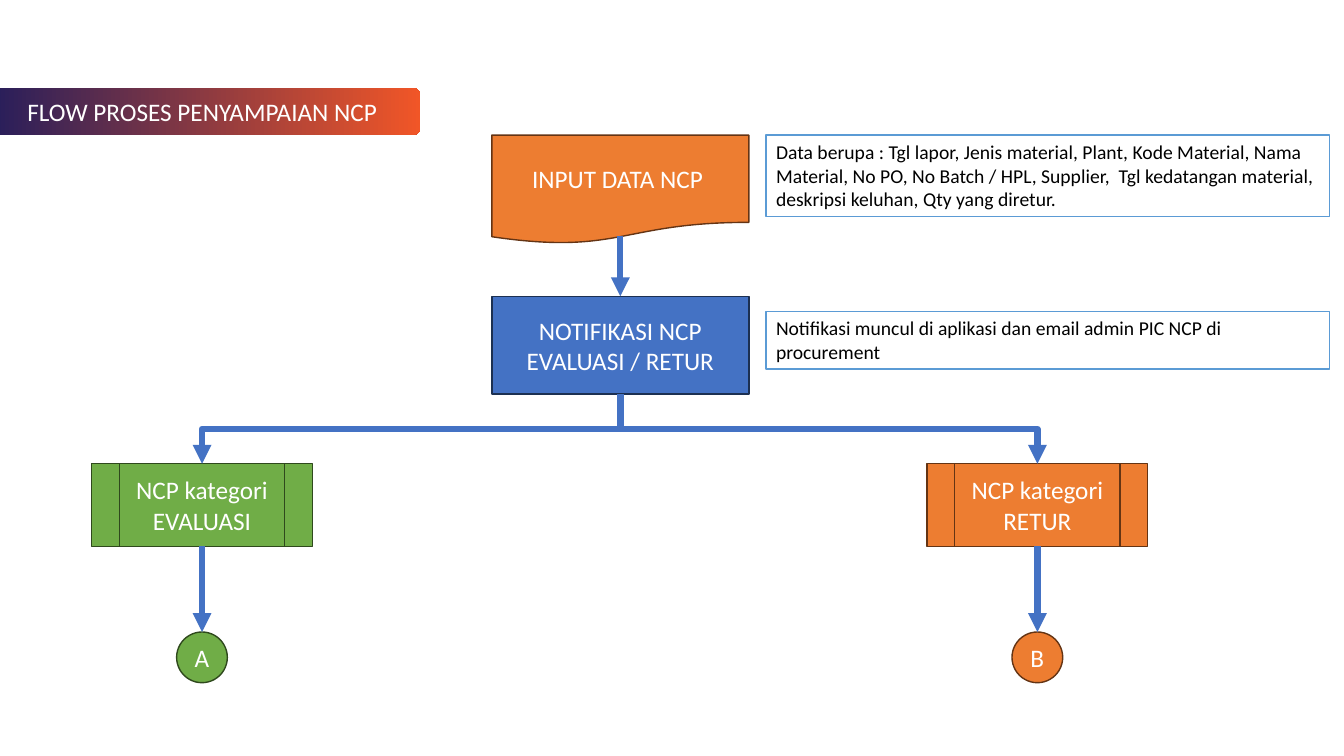
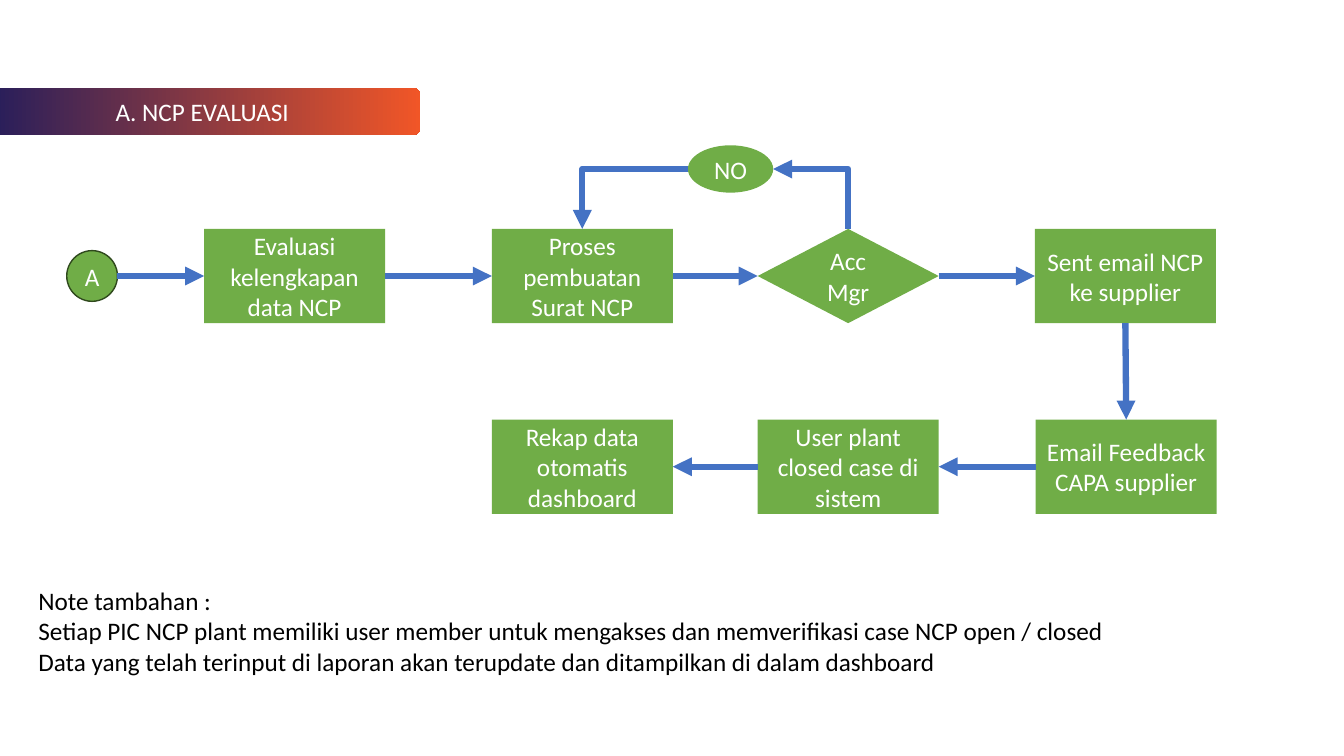
import pptx
import pptx.util
import pptx.dml.color
import pptx.enum.shapes
import pptx.enum.text
import pptx.oxml
import pptx.oxml.ns

RGBColor = pptx.dml.color.RGBColor
SHAPE = pptx.enum.shapes.MSO_SHAPE
CONNECTOR = pptx.enum.shapes.MSO_CONNECTOR
ALIGN = pptx.enum.text.PP_ALIGN
ANCHOR = pptx.enum.text.MSO_ANCHOR
qn = pptx.oxml.ns.qn

WHITE = RGBColor(0xFF, 0xFF, 0xFF)
BLACK = RGBColor(0, 0, 0)
NAVY = RGBColor(0x24, 0x1D, 0x5C)
FLAME = RGBColor(0xF1, 0x56, 0x27)
BLUE = RGBColor(0x44, 0x72, 0xC4)
DARK_BLUE = RGBColor(0x1C, 0x30, 0x52)
SKY = RGBColor(0x5B, 0x9B, 0xD5)
GREEN = RGBColor(0x70, 0xAD, 0x47)
DARK_GREEN = RGBColor(0x2F, 0x49, 0x1D)
ORANGE = RGBColor(0xED, 0x7D, 0x31)
DARK_ORANGE = RGBColor(0x64, 0x34, 0x14)

FONT = "Calibri"
COLUMNS, ROWS = 160, 90
TOP, LEFT, BOTTOM, RIGHT = range(4)
CIRCLE = 6.04


def write_text(shape, text, size=18, color=WHITE, align=ALIGN.CENTER, anchor=ANCHOR.MIDDLE):
    frame = shape.text_frame
    frame.word_wrap = True
    frame.vertical_anchor = anchor
    frame.text = text
    for paragraph in frame.paragraphs:
        paragraph.alignment = align
        for run in paragraph.runs:
            run.font.name = FONT
            run.font.size = pptx.util.Pt(size)
            run.font.color.rgb = color


class FlowDeck:
    def __init__(self):
        self.presentation = pptx.Presentation()
        self.presentation.slide_width = pptx.util.Inches(13.33)
        self.presentation.slide_height = pptx.util.Inches(7.5)
        self.slide = None

    def across(self, columns):
        return round(self.presentation.slide_width * columns / COLUMNS)

    def down(self, rows):
        return round(self.presentation.slide_height * rows / ROWS)

    def area(self, left, top, width, height):
        return self.across(left), self.down(top), self.across(width), self.down(height)

    def start_slide(self, title):
        self.slide = self.presentation.slides.add_slide(self.presentation.slide_layouts[6])
        band = self.box(title, (-1.92, 10.44, 52, 5.64), SHAPE.ROUNDED_RECTANGLE)
        band.fill.gradient()
        band.fill.gradient_angle = 0
        for stop, color in zip(band.fill.gradient_stops, (NAVY, FLAME)):
            stop.color.rgb = color

    def box(self, text, area, kind=SHAPE.RECTANGLE, fill=GREEN, line=None, **text_format):
        shape = self.slide.shapes.add_shape(kind, *self.area(*area))
        shape.shadow.inherit = False
        shape.fill.solid()
        shape.fill.fore_color.rgb = fill
        if line is None:
            shape.line.fill.background()
        else:
            shape.line.color.rgb = line
            shape.line.width = pptx.util.Pt(1)
        write_text(shape, text, **text_format)
        return shape

    def centred_box(self, text, middle, top, width, height, kind, fill, line):
        return self.box(text, (middle - width / 2, top, width, height), kind, fill, line)

    def explanation(self, text, top, height):
        self.box(text, (91.2, top, 67.1, height), fill=WHITE, line=SKY, size=14,
                 color=BLACK, align=ALIGN.LEFT, anchor=ANCHOR.TOP)

    def note(self, text, area):
        shape = self.slide.shapes.add_textbox(*self.area(*area))
        write_text(shape, text, color=BLACK, align=ALIGN.LEFT, anchor=ANCHOR.TOP)

    def style_arrow(self, connector):
        connector.line.color.rgb = BLUE
        connector.line.width = pptx.util.Pt(4.5)
        head = pptx.oxml.parse_xml(
            '<a:tailEnd xmlns:a="http://schemas.openxmlformats.org/drawingml/2006/main" type="triangle"/>')
        connector.line._get_or_add_ln().append(head)
        properties = connector._element.spPr
        properties.append(properties.makeelement(qn("a:effectLst"), {}))

    def side(self, shape, side):
        x = shape.left + shape.width * {LEFT: 0, RIGHT: 1}.get(side, 0.5)
        y = shape.top + shape.height * {TOP: 0, BOTTOM: 1}.get(side, 0.5)
        return round(x), round(y)

    def arrow(self, source, source_side, target, target_side, joined=True, rise=0):
        start_x, start_y = self.side(source, source_side)
        connector = self.slide.shapes.add_connector(
            CONNECTOR.STRAIGHT, start_x, start_y - self.down(rise), *self.side(target, target_side))
        if joined:
            connector.begin_connect(source, source_side)
        connector.end_connect(target, target_side)
        self.style_arrow(connector)

    def elbow(self, source, source_side, target, target_side, preset, turn, flip):
        start_x, start_y = self.side(source, source_side)
        end_x, end_y = self.side(target, target_side)
        width, height = abs(end_x - start_x), abs(end_y - start_y)
        if turn:
            width, height = height, width
        left = (start_x + end_x - width) // 2
        top = (start_y + end_y - height) // 2
        begin, end = (left + width, left) if flip else (left, left + width)
        connector = self.slide.shapes.add_connector(CONNECTOR.ELBOW, begin, top, end, top + height)
        properties = connector._element.spPr
        properties.find(qn("a:xfrm")).set("rot", str(turn * 60000))
        properties.find(qn("a:prstGeom")).set("prst", preset)
        self.style_arrow(connector)


def build_overview(deck):
    deck.start_slide("FLOW PROSES PENYAMPAIAN NCP")
    middle = 73.85
    entry = deck.centred_box("INPUT DATA NCP ", middle, 16.08, 30.6, 12.96,
                             SHAPE.FLOWCHART_DOCUMENT, ORANGE, DARK_ORANGE)
    notice = deck.centred_box("NOTIFIKASI NCP\nEVALUASI / RETUR", middle, 35.28, 30.6, 11.64,
                              SHAPE.FLOWCHART_PROCESS, BLUE, DARK_BLUE)
    deck.arrow(entry, BOTTOM, notice, TOP, joined=False, rise=0.96)
    branches = (
        ("NCP kategori EVALUASI", "A", 24.05, GREEN, DARK_GREEN, 90, False),
        ("NCP kategori RETUR", "B", 123.5, ORANGE, DARK_ORANGE, 270, True),
    )
    for label, letter, centre, fill, line, turn, flip in branches:
        category = deck.centred_box(label, centre, 55.2, 26.28, 9.84,
                                    SHAPE.FLOWCHART_PREDEFINED_PROCESS, fill, line)
        link = deck.centred_box(letter, centre, 75.24, CIRCLE, CIRCLE,
                                SHAPE.FLOWCHART_CONNECTOR, fill, line)
        deck.elbow(notice, BOTTOM, category, TOP, "bentConnector3", turn, flip)
        deck.arrow(category, BOTTOM, link, TOP)
    deck.explanation("Data berupa : Tgl lapor, Jenis material, Plant, Kode Material, Nama Material, "
                     "No PO, No Batch / HPL, Supplier,  Tgl kedatangan material, "
                     "deskripsi keluhan, Qty yang diretur.", 16.08, 9.72)
    deck.explanation("Notifikasi muncul di aplikasi dan email admin PIC NCP di procurement", 37.05, 6.9)


def build_evaluation(deck):
    deck.start_slide("A. NCP EVALUASI")
    width, height, upper, lower = 21.55, 11.22, 27.25, 49.95
    link = deck.box("A", (7.95, upper + (height - CIRCLE) / 2, CIRCLE, CIRCLE),
                    SHAPE.FLOWCHART_CONNECTOR, line=DARK_GREEN)
    steps = (
        ("Evaluasi kelengkapan data NCP", 24.3, upper, SHAPE.RECTANGLE),
        ("Proses pembuatan Surat NCP", 58.55, upper, SHAPE.RECTANGLE),
        ("Acc Mgr", 90.2, upper, SHAPE.FLOWCHART_DECISION),
        ("Sent email NCP ke supplier", 123.2, upper, SHAPE.RECTANGLE),
        ("Email Feedback CAPA supplier", 123.3, lower, SHAPE.RECTANGLE),
        ("User plant closed case di sistem", 90.2, lower, SHAPE.RECTANGLE),
        ("Rekap data otomatis dashboard", 58.55, lower, SHAPE.RECTANGLE),
    )
    check, letter, approval, sending, feedback, closing, recap = [
        deck.box(text, (left, top, width, height), kind) for text, left, top, kind in steps]
    refusal = deck.box("NO", (81.9, 17.3, 10.15, 5.64), SHAPE.OVAL)
    deck.arrow(link, RIGHT, check, LEFT, joined=False)
    for source, target in ((check, letter), (letter, approval), (approval, sending)):
        deck.arrow(source, RIGHT, target, LEFT)
    deck.arrow(sending, BOTTOM, feedback, TOP)
    for source, target in ((feedback, closing), (closing, recap)):
        deck.arrow(source, LEFT, target, RIGHT)
    deck.elbow(approval, TOP, refusal, RIGHT, "bentConnector2", 90, True)
    deck.elbow(refusal, LEFT, letter, TOP, "bentConnector2", 0, True)
    deck.note("Note tambahan :\n"
              "Setiap PIC NCP plant memiliki user member untuk mengakses dan memverifikasi "
              "case NCP open / closed\n"
              "Data yang telah terinput di laporan akan terupdate dan ditampilkan di dalam dashboard",
              (3.4, 69.1, 145.2, 12.1))


def main():
    deck = FlowDeck()
    build_overview(deck)
    build_evaluation(deck)
    deck.presentation.save("out.pptx")


if __name__ == "__main__":
    main()
